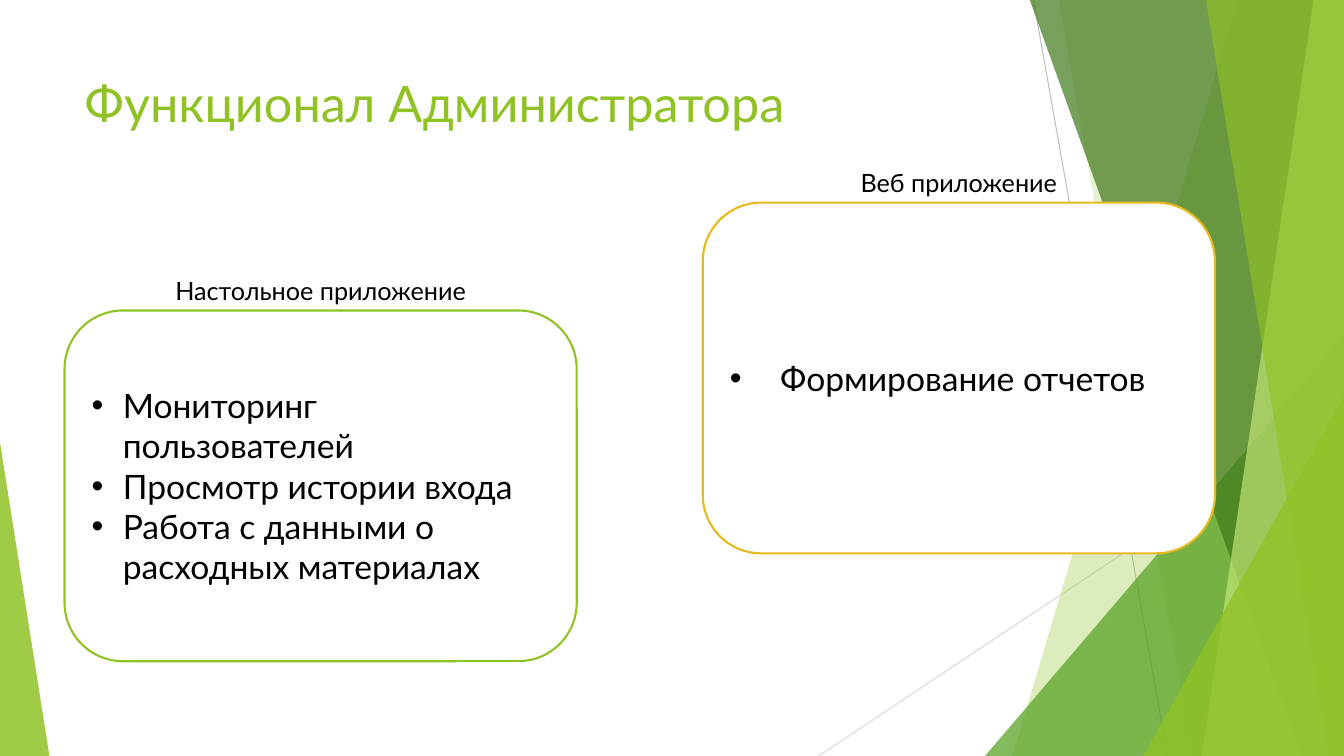
from lxml.etree import SubElement
from pptx import Presentation
from pptx.dml.color import RGBColor
from pptx.enum.shapes import MSO_CONNECTOR, MSO_SHAPE
from pptx.enum.text import MSO_ANCHOR, PP_ALIGN
from pptx.oxml.ns import qn
from pptx.util import Inches, Pt

WIDTH, HEIGHT = 13.33, 7.5
FONT = "Lato"
GREEN = "90C226"
CARD_WIDTH, CARD_HEIGHT, LABEL_HEIGHT = 5.08, 3.48, 0.4


def colour(value):
    return RGBColor.from_string(value)


def set_font(para, size, value):
    para.font.name = FONT
    para.font.size = Pt(size)
    para.font.color.rgb = colour(value)


def paint(shape, value, opacity=100):
    shape.shadow.inherit = False
    shape.fill.solid()
    shape.fill.fore_color.rgb = colour(value)
    shape.line.fill.background()
    if opacity < 100:
        fill = shape.fill._xPr.find(qn("a:solidFill"))
        SubElement(fill[0], qn("a:alpha"), val=str(opacity * 1000))


def add_line(page, start, end, value):
    line = page.shapes.add_connector(
        MSO_CONNECTOR.STRAIGHT, *(Inches(length) for length in start + end))
    line.line.color.rgb = colour(value)
    line.line.width = Pt(0.75)
    SubElement(line._element.spPr, qn("a:effectLst"))


def add_band(page, top_left, bottom_left, value, opacity):
    corners = [(top_left, -0.01), (WIDTH, -0.01), (WIDTH, HEIGHT), (bottom_left, HEIGHT)]
    points = [(Inches(x), Inches(y)) for x, y in corners]
    builder = page.shapes.build_freeform(*points[0])
    builder.add_line_segments(points[1:], close=True)
    paint(builder.convert_to_shape(), value, opacity)


def add_triangle(page, left, top, width, apex, value, opacity):
    triangle = page.shapes.add_shape(
        MSO_SHAPE.ISOSCELES_TRIANGLE, Inches(left), Inches(top),
        Inches(width), Inches(HEIGHT - top))
    triangle.adjustments[0] = apex
    paint(triangle, value, opacity)


def add_bullet(para, indent):
    properties = para._p.get_or_add_pPr()
    properties.set("marL", str(Inches(indent)))
    properties.set("indent", str(-Inches(indent)))
    SubElement(properties, qn("a:buFont"), typeface="Arial")
    SubElement(properties, qn("a:buChar"), char="•")


def add_card(page, left, top, border, items, indent):
    card = page.shapes.add_shape(
        MSO_SHAPE.ROUNDED_RECTANGLE, Inches(left), Inches(top),
        Inches(CARD_WIDTH), Inches(CARD_HEIGHT))
    paint(card, "FFFFFF")
    card.line.color.rgb = colour(border)
    card.line.width = Pt(1.5)
    frame = card.text_frame
    frame.word_wrap = True
    frame.vertical_anchor = MSO_ANCHOR.MIDDLE
    frame.text = "\n".join(items)
    for para in frame.paragraphs:
        para.alignment = PP_ALIGN.LEFT
        set_font(para, 24, "000000")
        add_bullet(para, indent)


def add_label(page, left, card_top, text):
    box = page.shapes.add_textbox(
        Inches(left), Inches(card_top - LABEL_HEIGHT),
        Inches(CARD_WIDTH), Inches(LABEL_HEIGHT))
    box.text_frame.word_wrap = True
    para = box.text_frame.paragraphs[0]
    para.text = text
    para.alignment = PP_ALIGN.CENTER
    set_font(para, 18, "000000")


def add_decoration(page):
    add_line(page, (10.25, 0), (11.58, HEIGHT), "BFBFBF")
    add_line(page, (WIDTH, 4.03), (8.12, HEIGHT), "D9D9D9")
    add_band(page, 12.28, 10.04, GREEN, 30)
    add_band(page, 10.5, 11.83, GREEN, 20)
    add_triangle(page, 9.77, 3.33, 3.56, 1, "54A021", 72)
    add_band(page, 10.21, 12.91, "3F7819", 70)
    add_band(page, 13.03, 11.92, "C0E474", 70)
    add_band(page, 11.96, 13.18, GREEN, 65)
    add_triangle(page, 11.34, 3.93, 1.99, 1, GREEN, 80)
    add_triangle(page, 0, 4.39, 0.49, 0, GREEN, 85)


def set_title(page, text):
    title = page.shapes.title
    title.left, title.top = Inches(0.74), Inches(0.67)
    title.width, title.height = Inches(9.4), Inches(1.44)
    title.text_frame.vertical_anchor = MSO_ANCHOR.TOP
    para = title.text_frame.paragraphs[0]
    para.text = text
    para.alignment = PP_ALIGN.LEFT
    set_font(para, 36, GREEN)


def main():
    deck = Presentation()
    deck.slide_width, deck.slide_height = Inches(WIDTH), Inches(HEIGHT)
    page = deck.slides.add_slide(deck.slide_layouts[5])
    add_decoration(page)
    set_title(page, "Функционал Администратора")
    applications = [
        ("Настольное приложение", 0.64, 3.08, GREEN, 0.31,
         ["Мониторинг пользователей", "Просмотр истории входа",
          "Работа с данными о расходных материалах"]),
        ("Веб приложение", 6.97, 2.01, "E6B91E", 0.5, ["Формирование отчетов"]),
    ]
    for name, left, top, border, indent, items in applications:
        add_card(page, left, top, border, items, indent)
        add_label(page, left, top, name)
    deck.save("out.pptx")


if __name__ == "__main__":
    main()
